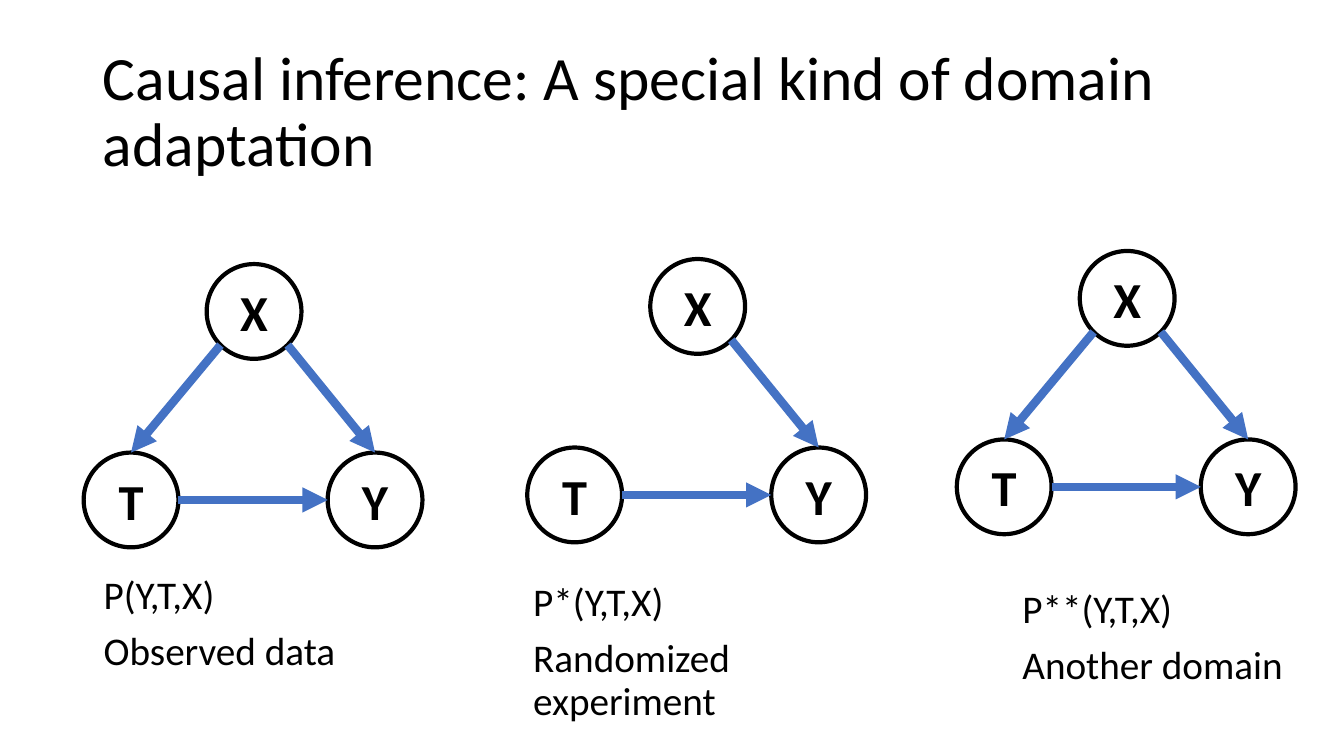
from pptx import Presentation
from pptx.dml.color import RGBColor
from pptx.enum.shapes import MSO_CONNECTOR, MSO_SHAPE
from pptx.enum.text import MSO_ANCHOR, MSO_AUTO_SIZE, PP_ALIGN
from pptx.oxml.ns import qn
from pptx.util import Inches, Pt
from lxml.etree import SubElement

SIZE = 0.94  # node diameter
EDGE = SIZE / 2 * 0.71  # centre to a diagonal point on the rim


def color(code):
    return RGBColor.from_string(code)


def style(par, size, bold=False):
    par.font.name = "Calibri"
    par.font.size = Pt(size)
    par.font.bold = bold
    par.font.color.rgb = color("000000")


prs = Presentation()
prs.slide_width = Inches(13.33)
prs.slide_height = Inches(7.5)
slide = prs.slides.add_slide(prs.slide_layouts[1])
shapes = slide.shapes

title = shapes.title
title.left, title.top = Inches(0.92), Inches(0.4)
title.width, title.height = Inches(11.5), Inches(1.45)
title.text_frame.text = "Causal inference: A special kind of domain adaptation"
title.text_frame.vertical_anchor = MSO_ANCHOR.MIDDLE
title.text_frame.auto_size = MSO_AUTO_SIZE.NONE
head = title.text_frame.paragraphs[0]
head.alignment = PP_ALIGN.LEFT
head.line_spacing = 0.9
style(head, 44)

# Left and top of each graph, then its arrows
graphs = [
    (0.83, 2.62, ["XT", "XY", "TY"]),
    (5.23, 2.57, ["XY", "TY"]),
    (9.49, 2.49, ["XT", "XY", "TY"]),
]
spots = {"X": (1.22, 0), "Y": (2.42, 1.87), "T": (0, 1.87)}

for left, top, arrows in graphs:
    nodes = {}
    for name, (dx, dy) in spots.items():
        node = shapes.add_shape(
            MSO_SHAPE.OVAL, Inches(left + dx), Inches(top + dy),
            Inches(SIZE), Inches(SIZE))
        node.shadow.inherit = False
        node.fill.solid()
        node.fill.fore_color.rgb = color("FFFFFF")
        node.line.color.rgb = color("000000")
        node.line.width = Pt(3)
        node.text_frame.text = name
        node.text_frame.vertical_anchor = MSO_ANCHOR.MIDDLE
        label = node.text_frame.paragraphs[0]
        label.alignment = PP_ALIGN.CENTER
        style(label, 36, True)
        nodes[name] = node

    for start, end in arrows:
        first, last = nodes[start], nodes[end]
        x = first.left + first.width // 2
        y = first.top + first.height // 2
        if start == "X":
            side = -1 if end == "T" else 1
            x += side * Inches(EDGE)
            y += Inches(EDGE)
        else:
            x += first.width // 2
        arrow = shapes.add_connector(
            MSO_CONNECTOR.STRAIGHT, x, y,
            last.left, last.top + last.height // 2)
        if start == "X":
            arrow.end_connect(last, 0)
        arrow.line.color.rgb = color("4472C4")
        arrow.line.width = Pt(6)
        SubElement(arrow.line._get_or_add_ln(), qn("a:tailEnd"), type="triangle")
        SubElement(arrow._element.spPr, qn("a:effectLst"))

captions = [
    (0.93, 5.66, ["P(Y,T,X)", "Observed data"]),
    (5.19, 5.73, ["P*(Y,T,X)", "Randomized experiment"]),
    (10.04, 5.8, ["P**(Y,T,X)", "Another domain"]),
]
for left, top, lines in captions:
    place = Inches(left), Inches(top), Inches(3.66), Inches(1.68)
    if lines[1] == "Another domain":
        box = slide.placeholders[1]
        box.left, box.top, box.width, box.height = place
    else:
        box = shapes.add_textbox(*place)
    frame = box.text_frame
    frame.word_wrap = True
    frame.auto_size = MSO_AUTO_SIZE.NONE
    frame.text = "\n".join(lines)
    for par in frame.paragraphs:
        par.line_spacing = 0.9
        par.space_before = Pt(10)
        style(par, 28)
        props = par._p.get_or_add_pPr()
        props.set("marL", "0")
        props.set("indent", "0")
        props.insert_element_before(
            props.makeelement(qn("a:buNone")), "a:tabLst", "a:defRPr", "a:extLst")

prs.save("out.pptx")
